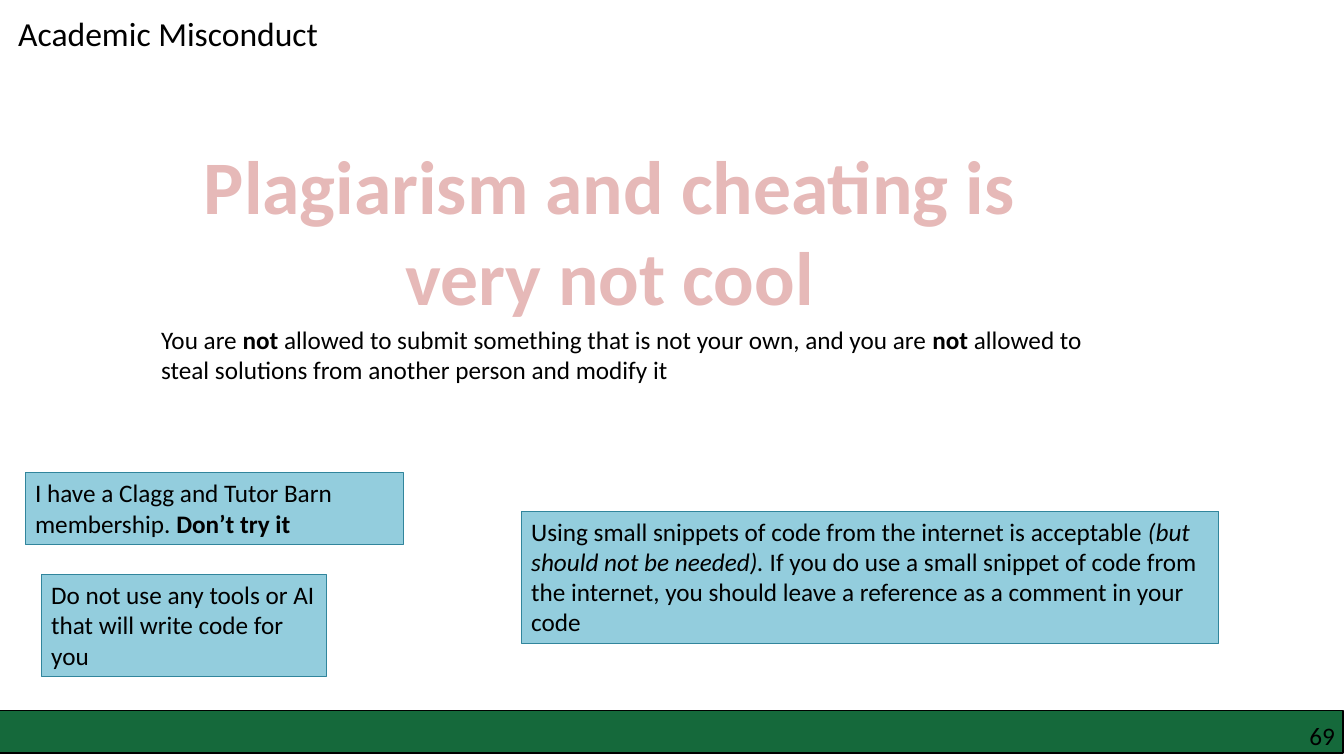
"""Build the Academic Misconduct slide."""
from pptx import Presentation
from pptx.dml.color import RGBColor
from pptx.enum.shapes import MSO_SHAPE
from pptx.enum.text import MSO_ANCHOR, PP_ALIGN
from pptx.util import Inches, Pt

FONT = "Calibri"
BLACK, GREEN, PINK = "000000", "15693B", "E6B9B8"
NOTE_FILL, NOTE_LINE = "93CDDD", "31859C"

TITLE = "Academic Misconduct"
HEADLINE = [("Plagiarism and cheating is very not cool", "bold")]
RULE = [
    ("You are ", ""),
    ("not ", "bold"),
    ("allowed to submit something that is not your own, and you are ", ""),
    ("not", "bold"),
    (" allowed to steal solutions from another person and modify it", ""),
]
PAGE_NUMBER = [("69", "")]
NOTES = [
    ((0.25, 4.69, 3.75, 0.71), [
        ("I have a Clagg and Tutor Barn membership. ", ""),
        ("Don’t try it", "bold"),
    ]),
    ((0.41, 5.7, 2.83, 1.01), [
        ("Do not use any tools or AI that will write code for you", ""),
    ]),
    ((5.17, 5.07, 6.92, 1.31), [
        ("Using small snippets of code from the internet is acceptable ", ""),
        ("(but should not be needed). ", "italic"),
        ("If you do use a small snippet of code from the internet, "
         "you should leave a reference as a comment in your code", ""),
    ]),
]


def color(value):
    return RGBColor.from_string(value)


def write(shape, spans, size=18, ink=BLACK, align=PP_ALIGN.LEFT):
    frame = shape.text_frame
    frame.word_wrap = True
    frame.vertical_anchor = MSO_ANCHOR.TOP
    para = frame.paragraphs[0]
    para.alignment = align
    para.font.name = FONT
    para.font.size = Pt(size)
    para.font.color.rgb = color(ink)
    for text, style in spans:
        span = para.add_run()
        span.text = text
        span.font.name = FONT
        span.font.size = Pt(size)
        span.font.color.rgb = color(ink)
        if style == "bold":
            span.font.bold = True
        elif style == "italic":
            span.font.italic = True


def add_box(page, place, fill, line, width):
    box = page.shapes.add_shape(MSO_SHAPE.RECTANGLE, *map(Inches, place))
    box.shadow.inherit = False
    box.fill.solid()
    box.fill.fore_color.rgb = color(fill)
    box.line.color.rgb = color(line)
    box.line.width = Pt(width)
    return box


def add_text(page, place, spans, **look):
    box = page.shapes.add_textbox(*map(Inches, place))
    write(box, spans, **look)
    return box


def main():
    deck = Presentation()
    deck.slide_width, deck.slide_height = Inches(13.33), Inches(7.5)
    page = deck.slides.add_slide(deck.slide_layouts[5])

    title = page.shapes.title
    title.left, title.top = Inches(0.08), Inches(0.08)
    title.width, title.height = Inches(3.48), Inches(0.5)
    write(title, [(TITLE, "")], size=24)

    add_box(page, (-0.01, 7.05, 13.33, 0.42), GREEN, BLACK, 1)
    number = add_text(page, (10.17, 7.15, 3.07, 0.3), PAGE_NUMBER,
                      align=PP_ALIGN.RIGHT)
    frame = number.text_frame
    frame.margin_left = frame.margin_right = 0
    frame.margin_top = frame.margin_bottom = 0

    add_text(page, (1.75, 1.33, 8.59, 1.34), HEADLINE, size=54, ink=PINK,
             align=PP_ALIGN.CENTER)
    add_text(page, (1.5, 3.17, 9.67, 0.71), RULE)
    for place, spans in NOTES:
        write(add_box(page, place, NOTE_FILL, NOTE_LINE, 0.75), spans)

    deck.save("out.pptx")


if __name__ == "__main__":
    main()
